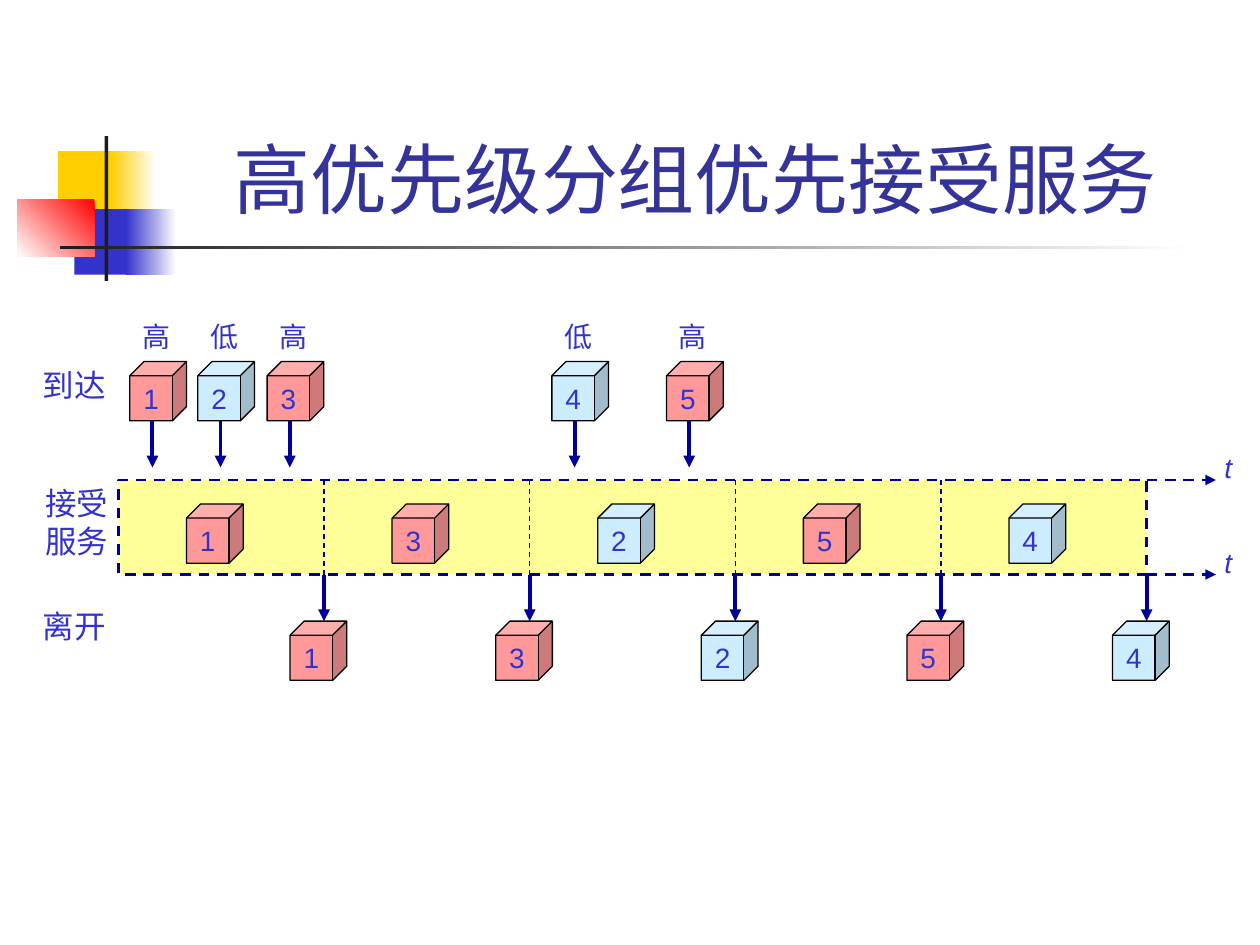
"""Build the slide on priority packets being served first."""
from dataclasses import dataclass

from lxml import etree
from pptx import Presentation
from pptx.dml.color import RGBColor
from pptx.enum.dml import MSO_LINE
from pptx.enum.shapes import MSO_CONNECTOR, MSO_SHAPE
from pptx.enum.text import MSO_ANCHOR, MSO_AUTO_SIZE, PP_ALIGN
from pptx.oxml.ns import qn
from pptx.util import Inches, Pt

RECT, CUBE = MSO_SHAPE.RECTANGLE, MSO_SHAPE.CUBE
STRAIGHT, DASH = MSO_CONNECTOR.STRAIGHT, MSO_LINE.DASH
CENTER, BOTTOM, MIDDLE = PP_ALIGN.CENTER, MSO_ANCHOR.BOTTOM, MSO_ANCHOR.MIDDLE
NO_FIT, FIT_SHAPE = MSO_AUTO_SIZE.NONE, MSO_AUTO_SIZE.SHAPE_TO_FIT_TEXT


@dataclass(frozen=True)
class Theme:
    font: str = "Arial"
    title: str = "333399"
    text: str = "3333CC"
    high: str = "FF9999"
    low: str = "CCECFF"
    outline: str = "000000"
    navy: str = "000099"
    band: str = "FFFF99"
    yellow: str = "FFCF01"
    red: str = "FF0000"
    dark: str = "1C1C1C"
    white: str = "FFFFFF"
    title_size: int = 44
    label_size: int = 18
    small_size: int = 16
    thin: float = 0.74
    medium: float = 1.5
    thick: float = 2.24


THEME = Theme()
TITLE = "高优先级分组优先接受服务"
ARRIVALS = [(1, 1.03), (2, 1.57), (3, 2.12), (4, 4.38), (5, 5.29)]
SERVICE_ORDER = [1, 3, 2, 5, 4]
HIGH_PRIORITY = {1, 3, 5}
CUBE_WIDTH, CUBE_HEIGHT = 0.45, 0.47
BAND_LEFT, BAND_TOP, BAND_WIDTH, BAND_HEIGHT = 0.94, 3.81, 8.16, 0.75
BAND_RIGHT, BAND_BOTTOM = BAND_LEFT + BAND_WIDTH, BAND_TOP + BAND_HEIGHT
SLOT = BAND_WIDTH / len(SERVICE_ORDER)
ARROW_LENGTH = 0.37


def rgb(value):
    return RGBColor.from_string(value)


def style_text(paragraph, size, color=THEME.text, italic=None):
    font = paragraph.font
    font.name, font.size, font.italic = THEME.font, Pt(size), italic
    font.color.rgb = rgb(color)


def add_block(slide, kind, box, fill, line=None, width=0, dash=None):
    block = slide.shapes.add_shape(kind, *map(Inches, box))
    block.shadow.inherit = False
    if isinstance(fill, tuple):
        *stops, angle = fill
        block.fill.gradient()
        block.fill.gradient_angle = angle
        for stop, color in zip(block.fill.gradient_stops, stops):
            stop.color.rgb = rgb(color)
    else:
        block.fill.solid()
        block.fill.fore_color.rgb = rgb(fill)
    if line:
        block.line.color.rgb = rgb(line)
        block.line.width = Pt(width)
        block.line.dash_style = dash
    else:
        block.line.fill.background()
    return block


def add_label(slide, text, box, size, italic=None):
    label = slide.shapes.add_textbox(*map(Inches, box))
    frame = label.text_frame
    frame.word_wrap = False
    frame.auto_size = FIT_SHAPE
    frame.text = text
    for paragraph in frame.paragraphs:
        style_text(paragraph, size, italic=italic)


def add_packet(slide, number, left, top):
    fill = THEME.high if number in HIGH_PRIORITY else THEME.low
    packet = add_block(slide, CUBE, (left, top, CUBE_WIDTH, CUBE_HEIGHT),
                       fill, THEME.outline, THEME.thin)
    frame = packet.text_frame
    frame.word_wrap = False
    frame.vertical_anchor = MIDDLE
    frame.text = str(number)
    frame.paragraphs[0].alignment = CENTER
    style_text(frame.paragraphs[0], THEME.small_size)


def add_line(slide, start, end, width, dash=None, arrow=True):
    connector = slide.shapes.add_connector(
        STRAIGHT, *map(Inches, (*start, *end)))
    connector.line.color.rgb = rgb(THEME.navy)
    connector.line.width = Pt(width)
    connector.line.dash_style = dash
    properties = connector._element.spPr
    if arrow:
        outline = properties.find(qn("a:ln"))
        etree.SubElement(outline, qn("a:tailEnd"), type="triangle")
    etree.SubElement(properties, qn("a:effectLst"))


def add_down_arrow(slide, x, top):
    add_line(slide, (x, top), (x, top + ARROW_LENGTH), THEME.thick)


def add_decoration(slide):
    fade = THEME.white
    for box, fill in [
        ((0.46, 1.2, 0.48, 0.52), THEME.yellow),
        ((0.88, 1.2, 0.36, 0.52), (fade, THEME.yellow, 180)),
        ((0.59, 1.66, 0.46, 0.52), THEME.text),
        ((1, 1.66, 0.4, 0.52), (fade, THEME.text, 180)),
        ((0.14, 1.58, 0.61, 0.46), (THEME.red, fade, 225)),
        ((0.83, 1.08, 0.03, 1.15), THEME.dark),
        ((0.48, 1.95, 9, 0.03), (fade, THEME.dark, 180)),
    ]:
        add_block(slide, RECT, box, fill)


def set_title(slide):
    title = slide.shapes.title
    title.left, title.top, title.width, title.height = map(
        Inches, (1.26, 0.23, 8.52, 1.6))
    frame = title.text_frame
    frame.text = TITLE
    frame.auto_size = NO_FIT
    frame.vertical_anchor = BOTTOM
    frame.paragraphs[0].alignment = CENTER
    style_text(frame.paragraphs[0], THEME.title_size, THEME.title)


def add_arrivals(slide):
    for number, left in ARRIVALS:
        priority = "高" if number in HIGH_PRIORITY else "低"
        add_label(slide, priority, (left, 2.49, 0.42, 0.37), THEME.small_size)
        add_packet(slide, number, left, 2.87)
        add_down_arrow(slide, left + 0.18, 3.34)


def add_service_band(slide):
    add_block(slide, RECT, (BAND_LEFT, BAND_TOP, BAND_WIDTH, BAND_HEIGHT),
              THEME.band, THEME.navy, THEME.medium, DASH)
    for y in (BAND_TOP, BAND_BOTTOM):
        add_line(slide, (BAND_RIGHT, y), (9.65, y), THEME.medium, DASH)
        add_label(slide, "t", (9.62, y - 0.28, 0.26, 0.37),
                  THEME.small_size, italic=True)


def add_services(slide):
    for slot, number in enumerate(SERVICE_ORDER):
        start = BAND_LEFT + slot * SLOT
        end = start + SLOT
        if slot < len(SERVICE_ORDER) - 1:
            add_line(slide, (end, BAND_TOP), (end, BAND_BOTTOM),
                     THEME.thin, DASH, arrow=False)
        add_packet(slide, number, start + 0.54, 4)
        add_down_arrow(slide, end, BAND_BOTTOM)
        add_packet(slide, number, end - 0.27, 4.93)


def main():
    deck = Presentation()
    deck.slide_width, deck.slide_height = Inches(10), Inches(7.5)
    slide = deck.slides.add_slide(deck.slide_layouts[5])
    add_decoration(slide)
    set_title(slide)
    add_service_band(slide)
    for text, box in [("到达", (0.24, 2.86, 0.7, 0.4)),
                      ("接受\n服务", (0.26, 3.79, 0.7, 0.7)),
                      ("离开", (0.24, 4.77, 0.7, 0.4))]:
        add_label(slide, text, box, THEME.label_size)
    add_arrivals(slide)
    add_services(slide)
    deck.save("out.pptx")


main()
